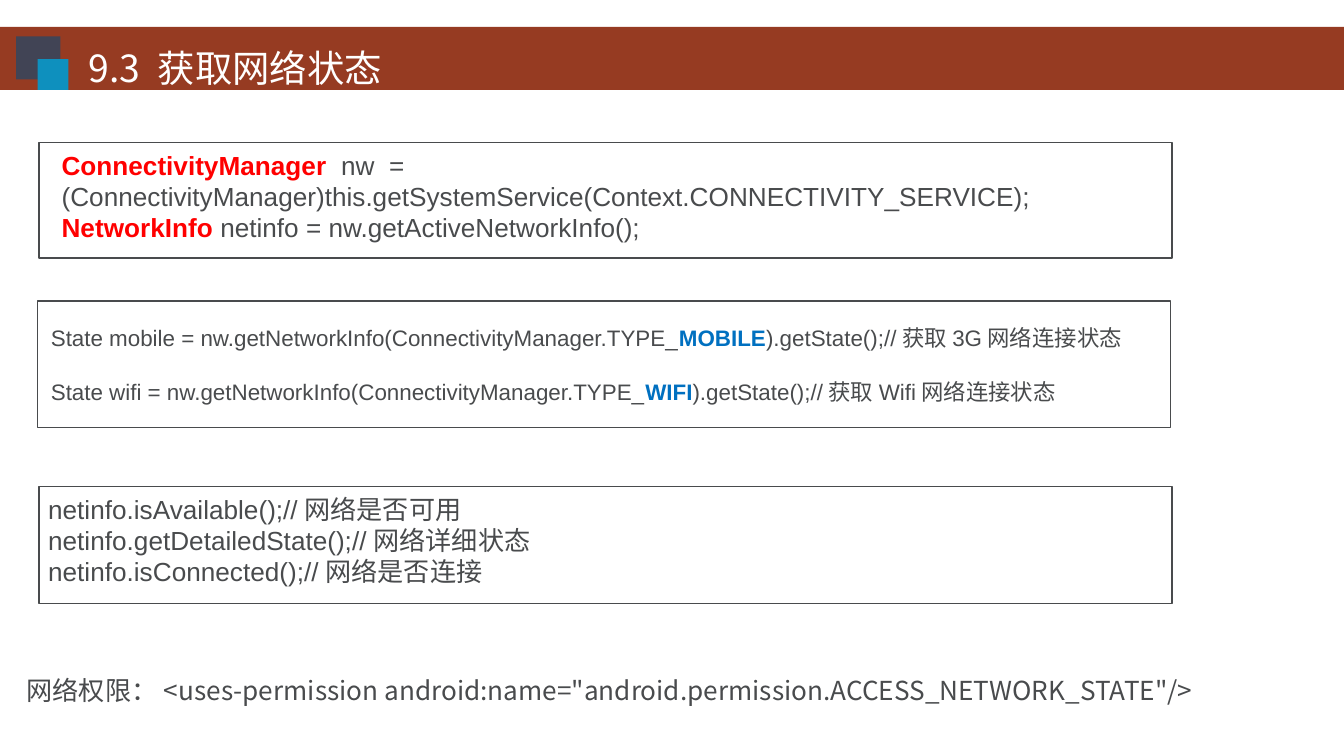
"""Build a slide on reading the network state."""
from dataclasses import dataclass

from lxml import etree
from pptx import Presentation
from pptx.dml.color import RGBColor
from pptx.enum.shapes import MSO_SHAPE
from pptx.oxml.ns import qn
from pptx.util import Inches, Pt

RECT = MSO_SHAPE.RECTANGLE


@dataclass(frozen=True)
class Theme:
    band: str = "963B22"
    dark: str = "414455"
    accent: str = "0E90BE"
    white: str = "FFFFFF"
    ink: str = "494B4D"
    red: str = "FF0000"
    blue: str = "0070C0"
    title: int = 20
    code: int = 14
    small: int = 12
    line: float = 0.74
    latin: str = "Arial"
    cjk: str = "Noto Sans CJK SC"


T = Theme()
WIDTH = 10
HEIGHT = WIDTH * 9 / 16

BLOCKS = [
    ((0, 0.2, WIDTH, 0.47), T.band),
    ((0.12, 0.27, 0.33, 0.32), T.dark),
    ((0.28, 0.44, 0.23, 0.23), T.accent),
]
FRAMES = [
    (0.29, 1.06, 8.43, 0.86),
    (0.28, 2.24, 8.43, 0.94),
    (0.29, 3.62, 8.43, 0.87),
]
TEXTS = [
    dict(at=(0.56, 0.29, 2.4, 0.44), size=T.title, font=T.cjk, color=T.white,
         lines=[["9.3 获取网络状态"]]),
    dict(at=(0.36, 1.06, 7.45, 0.8), mark=T.red, wrap=True, lines=[
        [("ConnectivityManager  ",), "nw  = "],
        ["(ConnectivityManager)this.getSystemService(Context.CONNECTIVITY_SERVICE);"],
        [("NetworkInfo ",), "netinfo = nw.getActiveNetworkInfo();"],
    ]),
    dict(at=(0.28, 2.15, 8.35, 0.9), size=T.small, mark=T.blue, wrap=True,
         top=0.26, para={"space_after": Pt(14.5)}, lines=[
             ["State mobile = nw.getNetworkInfo(ConnectivityManager.TYPE_",
              ("MOBILE",), ").getState();//获取3G网络连接状态"],
             ["State wifi = nw.getNetworkInfo(ConnectivityManager.TYPE_",
              ("WIFI",), ").getState();//获取Wifi网络连接状态"],
         ]),
    dict(at=(0.26, 3.62, 3.79, 0.8), lines=[
        ["netinfo.isAvailable();//网络是否可用"],
        ["netinfo.getDetailedState();//网络详细状态"],
        ["netinfo.isConnected();//网络是否连接"],
    ]),
    dict(at=(0.1, 4.85, 9.79, 0.45), font=T.cjk, wrap=True,
         para={"line_spacing": 1.5}, lines=[
             ['网络权限：<uses-permission android:name='
              '"android.permission.ACCESS_NETWORK_STATE"/>'],
         ]),
]


def rgb(value):
    return RGBColor.from_string(value)


def add_rect(s, at, fill, line=None):
    sp = s.shapes.add_shape(RECT, *map(Inches, at))
    sp.shadow.inherit = False
    sp.fill.solid()
    sp.fill.fore_color.rgb = rgb(fill)
    if line:
        sp.line.color.rgb = rgb(line)
        sp.line.width = Pt(T.line)
    else:
        sp.line.fill.background()


def add_text(s, at, lines, size=T.code, font=T.latin, color=T.ink,
             mark=None, wrap=False, top=0.05, para=None):
    tf = s.shapes.add_textbox(*map(Inches, at)).text_frame
    tf.word_wrap = wrap
    tf.margin_top = Inches(top)
    for i, line in enumerate(lines):
        p = tf.add_paragraph() if i else tf.paragraphs[0]
        for name, value in (para or {}).items():
            setattr(p, name, value)
        for part in line:
            marked = isinstance(part, tuple)
            r = p.add_run()
            r.text = part[0] if marked else part
            for name, value in dict(size=Pt(size), name=font, bold=marked).items():
                setattr(r.font, name, value)
            r.font.color.rgb = rgb(mark if marked else color)
            etree.SubElement(r.font._element, qn("a:ea"), typeface=T.cjk)


prs = Presentation()
prs.slide_width, prs.slide_height = Inches(WIDTH), Inches(HEIGHT)
s = prs.slides.add_slide(prs.slide_layouts[6])
for at, fill in BLOCKS:
    add_rect(s, at, fill)
for at in FRAMES:
    add_rect(s, at, T.white, T.ink)
for text in TEXTS:
    add_text(s, **text)
prs.save("out.pptx")
